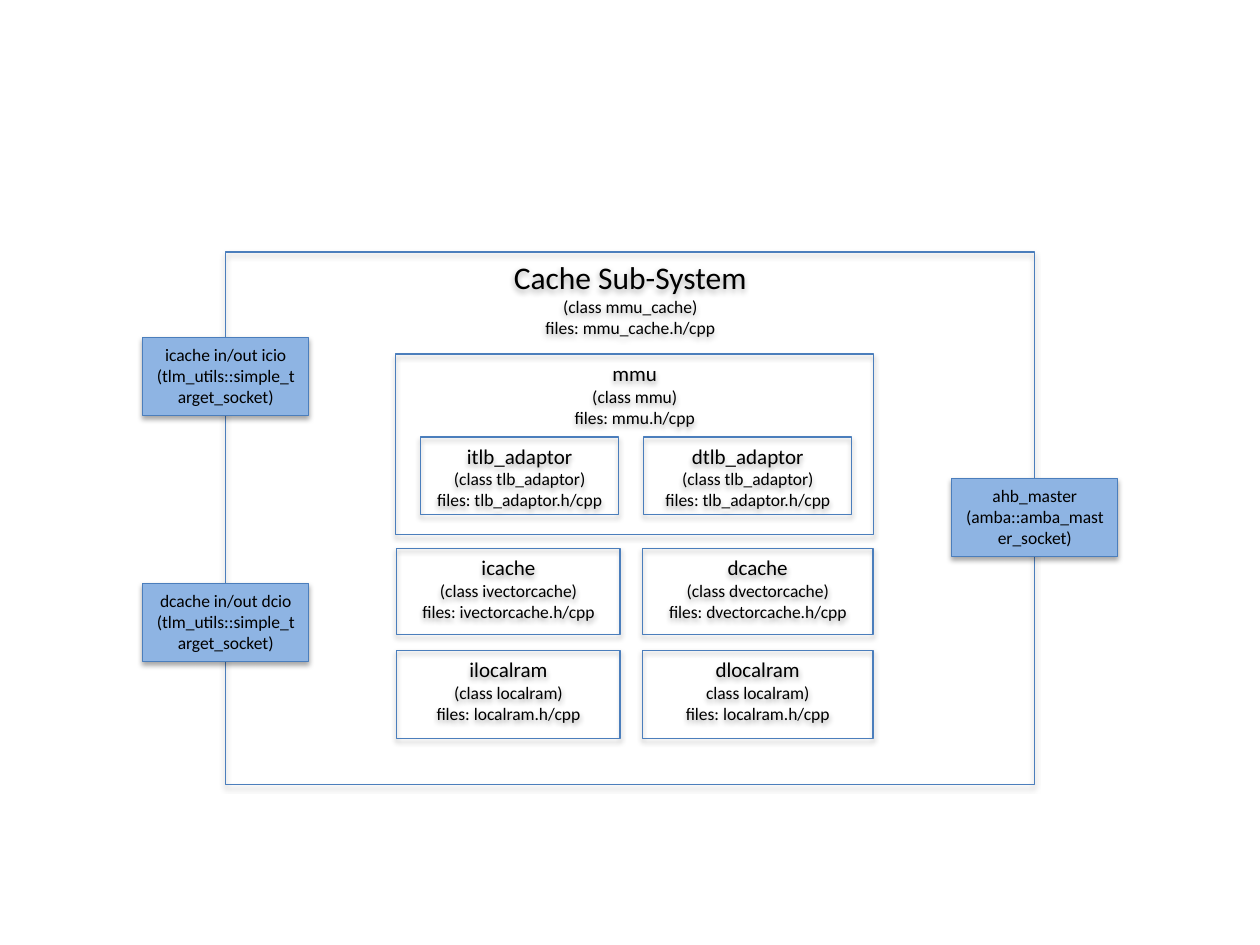
from dataclasses import dataclass

from lxml import etree
from pptx import Presentation
from pptx.dml.color import RGBColor
from pptx.enum.shapes import MSO_SHAPE
from pptx.enum.text import MSO_ANCHOR, PP_ALIGN
from pptx.oxml.ns import qn
from pptx.util import Cm, Pt

RECTANGLE = MSO_SHAPE.RECTANGLE
TOP = MSO_ANCHOR.TOP
CENTER = PP_ALIGN.CENTER
BLANK_LAYOUT = 6


@dataclass(frozen=True)
class Theme:
    """Colours, font and type sizes of the slide."""
    font: str = "Calibri"
    ink: str = "000000"
    outline: str = "4B7EBC"
    port_fill: str = "8EB4E3"
    title_size: int = 18
    heading_size: int = 12
    detail_size: int = 10
    line_width: float = 0.75


THEME = Theme()

# left, top, width, height in centimetres
SYSTEM = (4.55, 5.08, 16.31, 10.74)
MMU = (7.98, 7.14, 9.63, 3.63)
PORT_WIDTH, PORT_HEIGHT = 3.35, 1.57

ADAPTOR_COLUMNS = ((8.48, 3.99), (12.98, 4.19))
ADAPTOR_ROW = (8.81, 1.57)
MEMORY_COLUMNS = ((8.0, 4.5), (12.95, 4.65))
MEMORY_ROWS = ((11.06, 1.73), (13.11, 1.78))

ADAPTOR_DETAILS = ("(class tlb_adaptor)", "files: tlb_adaptor.h/cpp")
ADAPTORS = ("itlb_adaptor", "dtlb_adaptor")
MEMORIES = (
    (("icache", "(class ivectorcache)", "files: ivectorcache.h/cpp"),
     ("dcache", "(class dvectorcache)", "files: dvectorcache.h/cpp")),
    (("ilocalram", "(class localram)", "files: localram.h/cpp"),
     ("dlocalram", "class localram)", "files: localram.h/cpp")),
)


def add_shadow(shape):
    """Give a shape a soft shadow that falls straight down."""
    shape.shadow.inherit = False
    effects = shape._element.spPr.find(qn("a:effectLst"))
    shadow = etree.SubElement(
        effects, qn("a:outerShdw"), blurRad=str(Pt(3.1)), dist=str(Pt(1.8)),
        dir="5400000", rotWithShape="0")
    color = etree.SubElement(shadow, qn("a:srgbClr"), val=THEME.ink)
    etree.SubElement(color, qn("a:alpha"), val="35000")


def write_line(paragraph, text, *, size, color=THEME.ink, alignment=CENTER):
    """Write one formatted line of text into a paragraph."""
    paragraph.alignment = alignment
    run = paragraph.add_run()
    run.text = text
    run.font.name = THEME.font
    run.font.size = Pt(size)
    run.font.color.rgb = RGBColor.from_string(color)


def add_box(slide, bounds, lines, *, heading_size=THEME.heading_size, fill=None):
    """Add an outlined box with a heading line and smaller detail lines."""
    shape = slide.shapes.add_shape(RECTANGLE, *(Cm(length) for length in bounds))
    if fill:
        shape.fill.solid()
        shape.fill.fore_color.rgb = RGBColor.from_string(fill)
    else:
        shape.fill.background()
    shape.line.color.rgb = RGBColor.from_string(THEME.outline)
    shape.line.width = Pt(THEME.line_width)
    add_shadow(shape)

    frame = shape.text_frame
    frame.word_wrap = True
    frame.vertical_anchor = TOP
    for index, text in enumerate(lines):
        paragraph = frame.add_paragraph() if index else frame.paragraphs[0]
        write_line(paragraph, text, size=THEME.detail_size if index else heading_size)


def add_port(slide, edge, top, lines):
    """Add a filled socket box centred on a vertical edge of the system."""
    bounds = (edge - PORT_WIDTH / 2, top, PORT_WIDTH, PORT_HEIGHT)
    add_box(slide, bounds, lines, heading_size=THEME.detail_size, fill=THEME.port_fill)


def add_row(slide, columns, row, boxes):
    """Add one box per column along a common row."""
    top, height = row
    for (left, width), lines in zip(columns, boxes):
        add_box(slide, (left, top, width, height), lines)


def main():
    """Build the cache sub-system slide."""
    presentation = Presentation()
    presentation.slide_width = Cm(25.4)
    presentation.slide_height = Cm(19.05)
    slide = presentation.slides.add_slide(presentation.slide_layouts[BLANK_LAYOUT])

    add_box(slide, SYSTEM,
            ("Cache Sub-System", "(class mmu_cache)", "files: mmu_cache.h/cpp"),
            heading_size=THEME.title_size)
    for row, boxes in zip(MEMORY_ROWS, MEMORIES):
        add_row(slide, MEMORY_COLUMNS, row, boxes)
    add_box(slide, MMU, ("mmu", "(class mmu)", "files: mmu.h/cpp"))
    add_row(slide, ADAPTOR_COLUMNS, ADAPTOR_ROW,
            [(name, *ADAPTOR_DETAILS) for name in ADAPTORS])

    left_edge = SYSTEM[0]
    right_edge = left_edge + SYSTEM[2]
    target_socket = "(tlm_utils::simple_target_socket)"
    add_port(slide, left_edge, 6.81, ("icache in/out icio", target_socket))
    add_port(slide, left_edge, 11.76, ("dcache in/out dcio", target_socket))
    add_port(slide, right_edge, 9.65, ("ahb_master", "(amba::amba_master_socket)"))

    presentation.save("out.pptx")


main()
